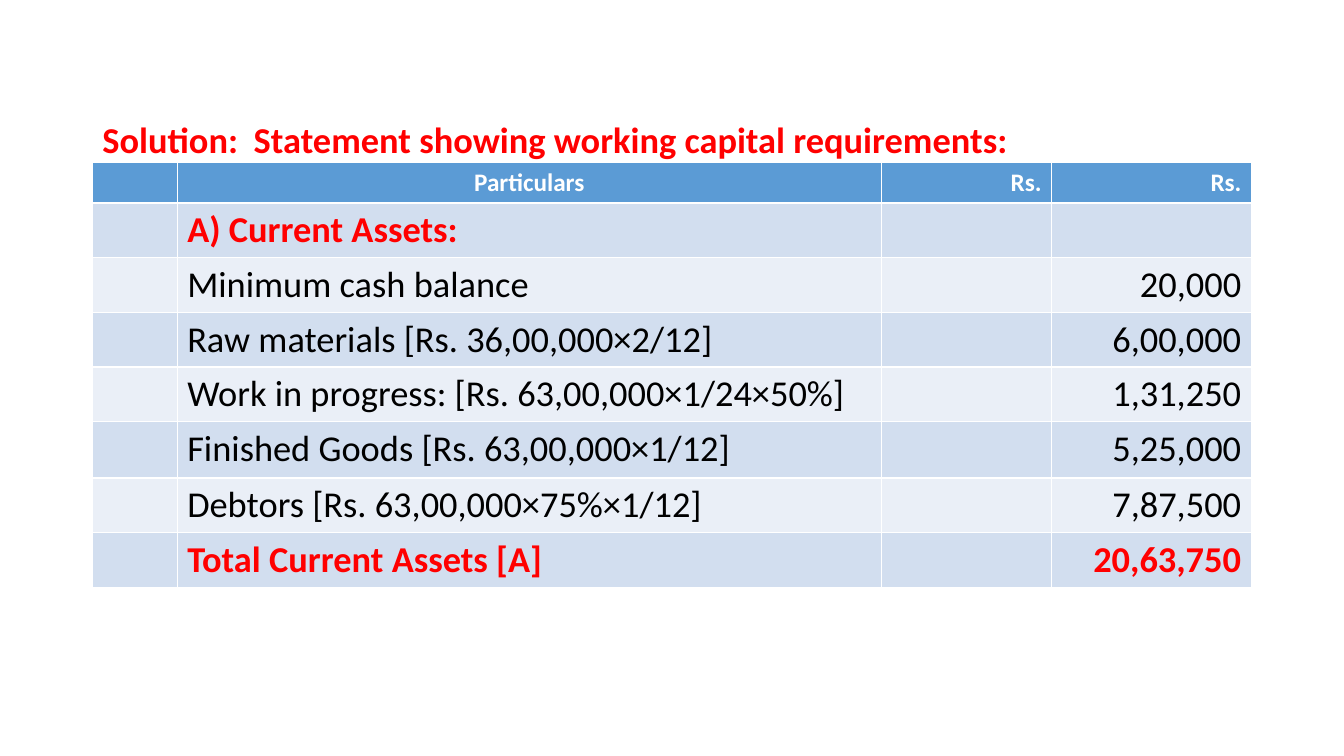
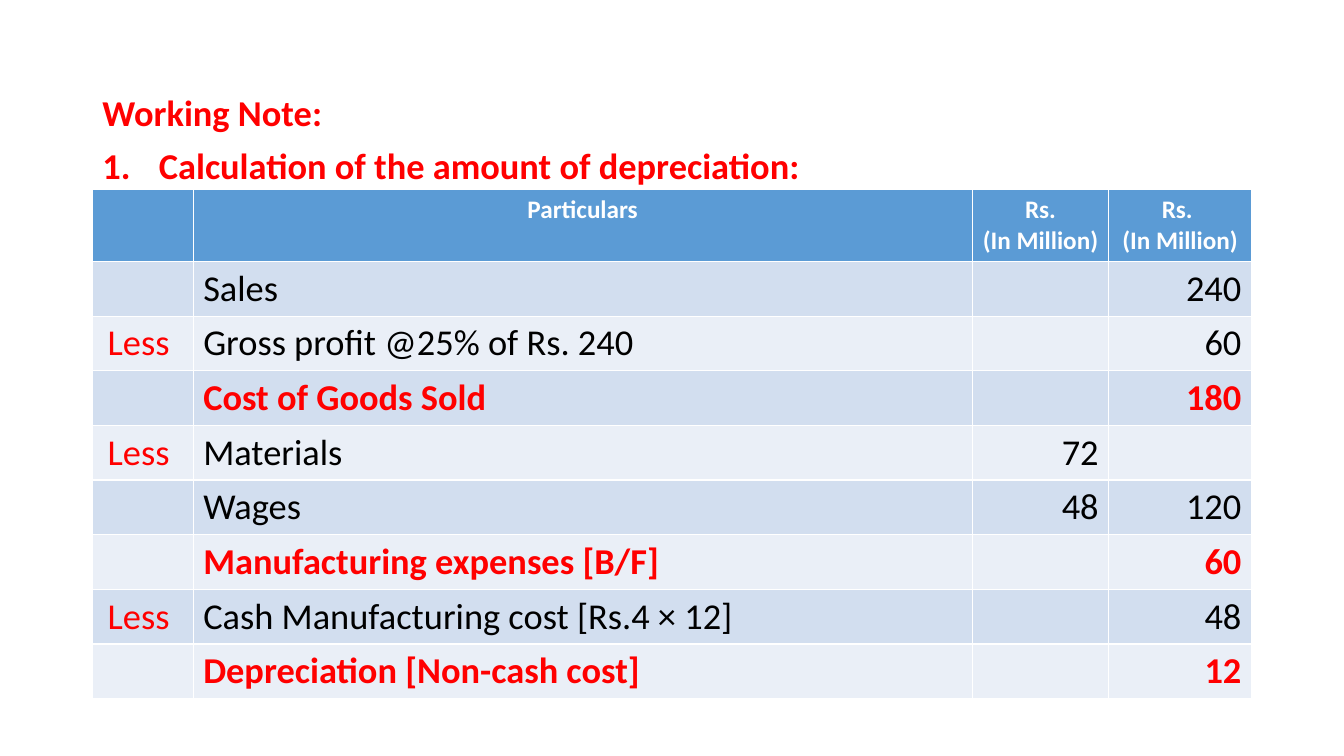
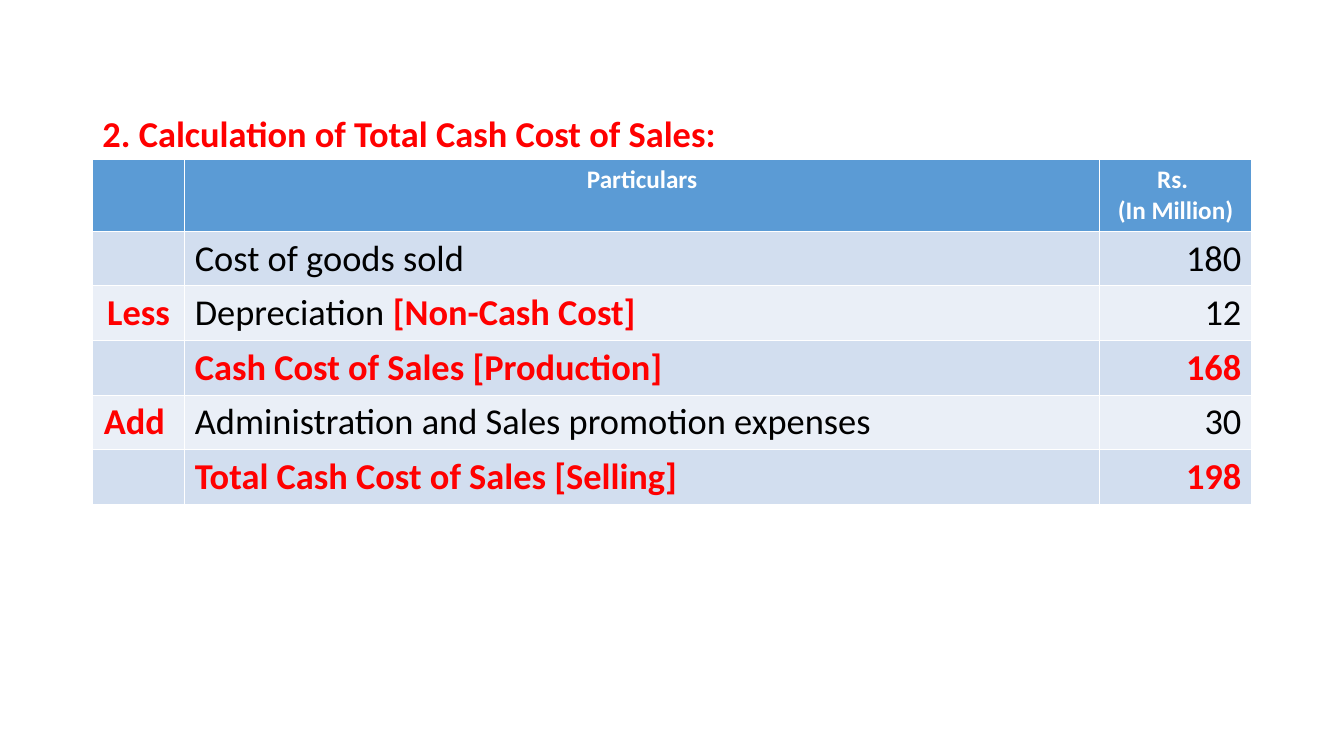
from dataclasses import dataclass

from lxml import etree
from pptx import Presentation
from pptx.dml.color import RGBColor
from pptx.enum.text import MSO_ANCHOR, MSO_AUTO_SIZE, PP_ALIGN
from pptx.oxml.ns import qn
from pptx.util import Emu, Inches, Pt

LEFT, CENTER, RIGHT = PP_ALIGN.LEFT, PP_ALIGN.CENTER, PP_ALIGN.RIGHT
TOP = MSO_ANCHOR.TOP
NO_FIT = MSO_AUTO_SIZE.NONE

GRID_COLS, GRID_ROWS = 160, 90
UNIT = Inches(1) / 12
MARGIN = 11
CONTENT = GRID_COLS - 2 * MARGIN
ROW = 6.5

FONT = "Calibri"
TEXT_SIZE, HEADER_SIZE = 26, 18
RED, BLACK, WHITE = "FF0000", "000000", "FFFFFF"
HEADER_FILL = "5B9BD5"
BANDS = ("D2DEEF", "EAEFF7")


@dataclass(frozen=True)
class Run:
    text: str
    color: str = BLACK
    bold: bool = False


@dataclass(frozen=True)
class Heading:
    text: str
    numbered: bool = False
    tab: float = 0


@dataclass(frozen=True)
class Row:
    text: str
    amounts: tuple[str, ...]
    tag: str = ""
    tag_bold: bool = False
    total: bool = False
    remark: str = ""
    height: float = ROW


@dataclass(frozen=True)
class Statement:
    headings: tuple[Heading, ...]
    body_top: float
    body_height: float
    table_top: float
    tag_width: float
    amount_widths: tuple[float, ...]
    amount_titles: tuple[str, ...]
    title_align: PP_ALIGN
    header_height: float
    rows: tuple[Row, ...]


STATEMENTS = (
    Statement(
        headings=(
            Heading("Solution:\tStatement showing working capital requirements:", tab=24),
        ),
        body_top=13.9, body_height=71.5, table_top=19.3,
        tag_width=10.1, amount_widths=(20.25, 23.8),
        amount_titles=("Rs.", "Rs."), title_align=RIGHT, header_height=4.8,
        rows=(
            Row("A) Current Assets:", ("", ""), total=True),
            Row("Minimum cash balance", ("", "20,000")),
            Row("Raw materials [Rs. 36,00,000×2/12]", ("", "6,00,000")),
            Row("Work in progress: [Rs. 63,00,000×1/24×50%]", ("", "1,31,250")),
            Row("Finished Goods [Rs. 63,00,000×1/12]", ("", "5,25,000"), height=6.72),
            Row("Debtors [Rs. 63,00,000×75%×1/12]", ("", "7,87,500")),
            Row("Total Current Assets [A]", ("", "20,63,750"), total=True),
        ),
    ),
    Statement(
        headings=(
            Heading("Working Note:"),
            Heading("Calculation of the amount of depreciation:", numbered=True),
        ),
        body_top=10.7, body_height=74.3, table_top=22.6,
        tag_width=12, amount_widths=(16.25, 17),
        amount_titles=("Rs.\n(In Million)", "Rs. \n(In Million)"),
        title_align=CENTER, header_height=8.5,
        rows=(
            Row("Sales", ("", "240")),
            Row("Gross profit @25% of Rs. 240", ("", "60"), "Less "),
            Row("Cost of Goods Sold", ("", "180"), total=True),
            Row("Materials", ("72", ""), "Less "),
            Row("Wages", ("48", "120")),
            Row("Manufacturing expenses [B/F]", ("", "60"), total=True),
            Row("Cash Manufacturing cost [Rs.4 × 12]", ("", "48"), "Less "),
            Row("Depreciation [Non-cash cost]", ("", "12"), total=True),
        ),
    ),
    Statement(
        headings=(Heading("2. Calculation of Total Cash Cost of Sales:"),),
        body_top=13.2, body_height=67.9, table_top=19,
        tag_width=11, amount_widths=(18.1,),
        amount_titles=("Rs. \n(In Million)",), title_align=CENTER, header_height=8.5,
        rows=(
            Row("Cost of goods sold", ("180",)),
            Row("Depreciation ", ("12",), "Less", True, remark="[Non-Cash Cost]"),
            Row("Cash Cost of Sales [Production]", ("168",), total=True),
            Row("Administration and Sales promotion expenses", ("30",), "Add ", True),
            Row("Total Cash Cost of Sales [Selling]", ("198",), total=True),
        ),
    ),
)


def grid(units: float) -> Emu:
    return Emu(round(units * UNIT))


def rgb(color: str) -> RGBColor:
    return RGBColor.from_string(color)


def add_run(p, run: Run, size: int) -> None:
    r = p.add_run()
    r.text = run.text
    r.font.name = FONT
    r.font.size = Pt(size)
    r.font.bold = run.bold
    r.font.color.rgb = rgb(run.color)


def add_headings(slide, st: Statement) -> None:
    sp = slide.placeholders[1]
    sp.left, sp.top = grid(MARGIN), grid(st.body_top)
    sp.width, sp.height = grid(CONTENT), grid(st.body_height)
    tf = sp.text_frame
    tf.word_wrap = True
    tf.auto_size = NO_FIT
    tf.vertical_anchor = TOP
    for i, heading in enumerate(st.headings):
        p = tf.add_paragraph() if i else tf.paragraphs[0]
        p.alignment = LEFT
        p.line_spacing = 0.9
        p.space_before = Pt(10)
        p.space_after = Pt(0)
        pPr = p._p.get_or_add_pPr()
        indent = Inches(0.56) if heading.numbered else 0
        pPr.set("marL", str(indent))
        pPr.set("indent", str(-indent))
        if heading.numbered:
            font = etree.SubElement(pPr, qn("a:buFont"))
            font.set("typeface", "+mj-lt")
            etree.SubElement(pPr, qn("a:buAutoNum")).set("type", "arabicPeriod")
        else:
            etree.SubElement(pPr, qn("a:buNone"))
        if heading.tab:
            tabs = etree.SubElement(pPr, qn("a:tabLst"))
            tab = etree.SubElement(tabs, qn("a:tab"))
            tab.set("pos", str(grid(heading.tab)))
            tab.set("algn", "l")
        add_run(p, Run(heading.text, RED, True), TEXT_SIZE)


def fill_cell(cell, lines: list[list[Run]], fill: str, align: PP_ALIGN, size: int) -> None:
    cell.fill.solid()
    cell.fill.fore_color.rgb = rgb(fill)
    tf = cell.text_frame
    for i, runs in enumerate(lines):
        p = tf.add_paragraph() if i else tf.paragraphs[0]
        p.alignment = align
        for run in runs:
            if run.text:
                add_run(p, run, size)


def row_cells(row: Row) -> list[list[Run]]:
    color = RED if row.total else BLACK
    return [
        [Run(row.tag, RED, row.tag_bold)],
        [Run(row.text, color, row.total), Run(row.remark, RED, True)],
        *([Run(amount, color, row.total)] for amount in row.amounts),
    ]


def add_statement_table(slide, st: Statement) -> None:
    text_width = CONTENT - st.tag_width - sum(st.amount_widths)
    widths = (st.tag_width, text_width, *st.amount_widths)
    heights = (st.header_height, *(row.height for row in st.rows))
    frame = slide.shapes.add_table(
        len(heights), len(widths), grid(MARGIN), grid(st.table_top),
        grid(CONTENT), grid(sum(heights)),
    )
    table = frame.table
    for column, width in zip(table.columns, widths):
        column.width = grid(width)
    for table_row, height in zip(table.rows, heights):
        table_row.height = grid(height)

    for c, title in enumerate(("", "Particulars", *st.amount_titles)):
        lines = [[Run(line, WHITE, True)] for line in title.split("\n")]
        align = st.title_align if c > 1 else CENTER
        fill_cell(table.cell(0, c), lines, HEADER_FILL, align, HEADER_SIZE)

    aligns = (CENTER, LEFT, *(RIGHT for _ in st.amount_widths))
    for i, row in enumerate(st.rows):
        for c, runs in enumerate(row_cells(row)):
            fill_cell(table.cell(i + 1, c), [runs], BANDS[i % 2], aligns[c], TEXT_SIZE)


def add_statement(prs, st: Statement) -> None:
    slide = prs.slides.add_slide(prs.slide_layouts[1])
    title = slide.shapes.title._element
    title.getparent().remove(title)
    add_headings(slide, st)
    add_statement_table(slide, st)


def main() -> None:
    prs = Presentation()
    prs.slide_width, prs.slide_height = grid(GRID_COLS), grid(GRID_ROWS)
    for st in STATEMENTS:
        add_statement(prs, st)
    prs.save("out.pptx")


if __name__ == "__main__":
    main()
